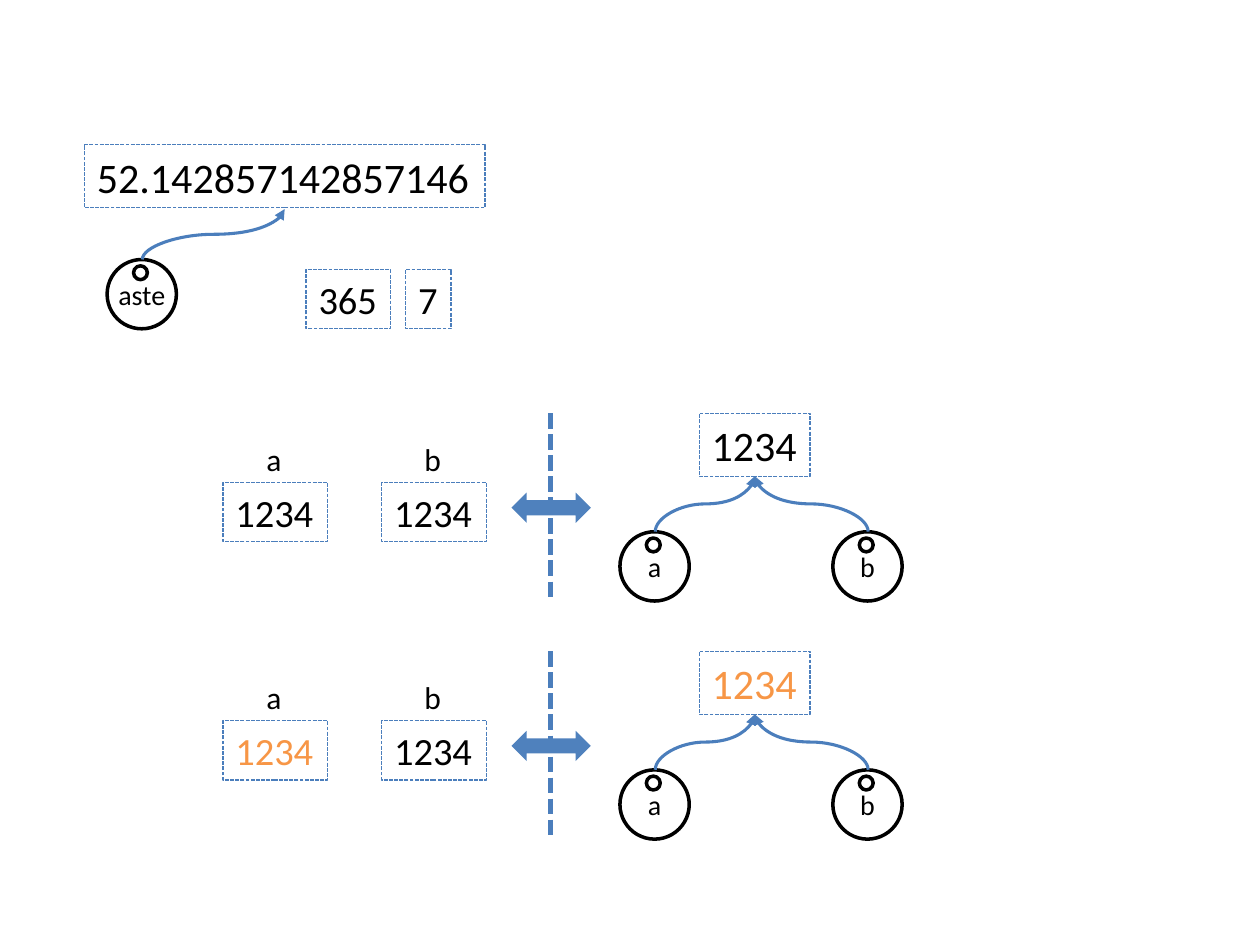
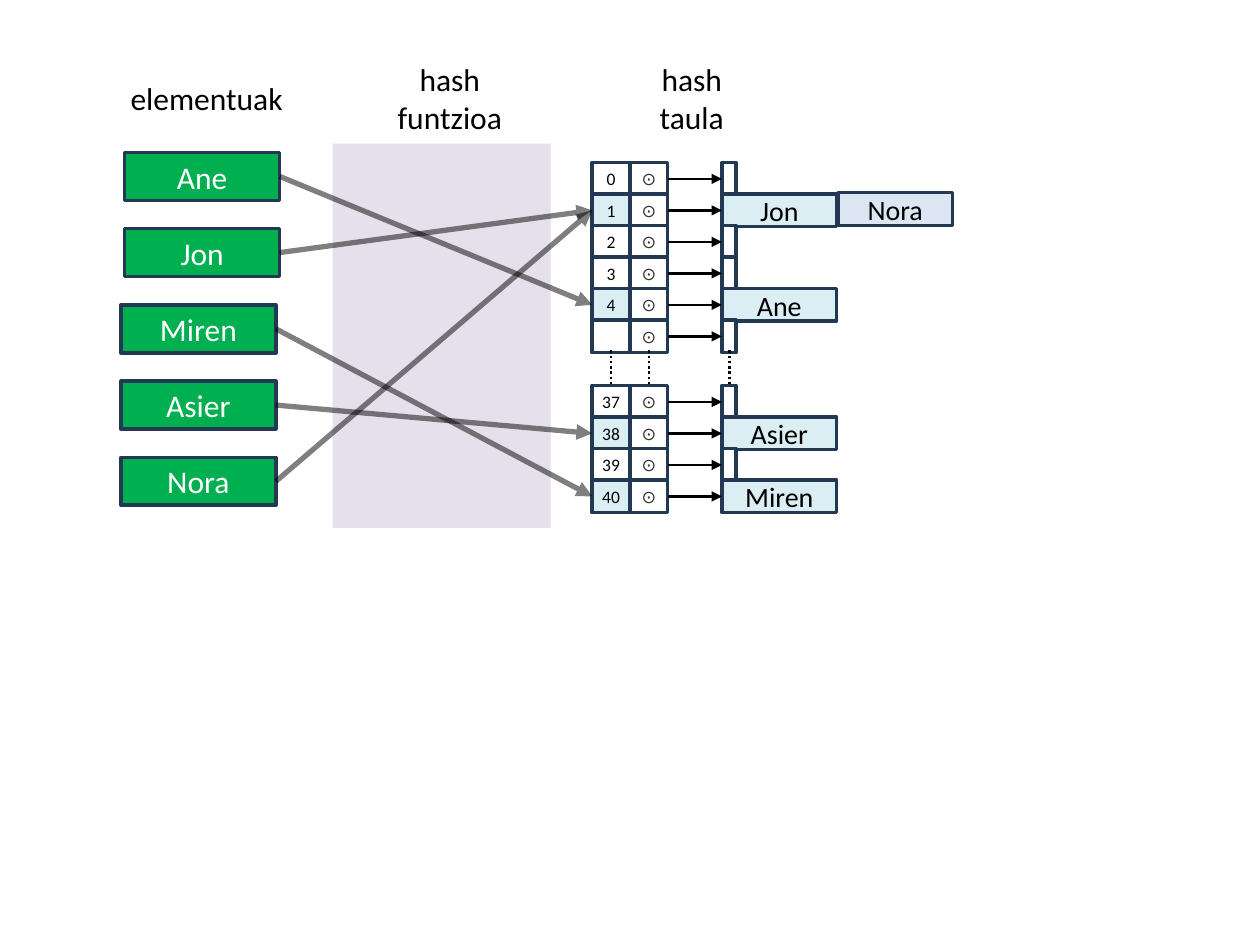
"""Build two diagram slides: names bound to values, and a hash table."""

from dataclasses import dataclass

from lxml.etree import SubElement
from pptx import Presentation
from pptx.dml.color import RGBColor
from pptx.enum.dml import MSO_LINE as Dash
from pptx.enum.shapes import MSO_CONNECTOR as Link, MSO_SHAPE as Preset
from pptx.enum.text import MSO_ANCHOR as Anchor, MSO_AUTO_SIZE as AutoSize, PP_ALIGN as Align
from pptx.oxml.ns import qn
from pptx.util import Inches, Pt


@dataclass(frozen=True)
class Theme:
    font: str = "Calibri"
    symbol_font: str = "Roboto"
    black: str = "000000"
    white: str = "FFFFFF"
    blue: str = "4B7EBC"
    arrow_blue: str = "4F81BD"
    orange: str = "F79646"
    green: str = "00B050"
    navy: str = "233953"
    lilac: str = "E6E0EC"
    used: str = "DBEEF4"
    chained: str = "DCE6F2"
    symbol: str = "373637"
    object_size: int = 24
    value_size: int = 22
    label_size: int = 18
    name_size: int = 16
    index_size: int = 10


theme = Theme()


def add_box(shapes, at, text="", preset=None, fill=None, line=None, weight=2, dash=None,
            size=theme.label_size, color=theme.black, font=theme.font, align=Align.CENTER, inset=None):
    place = [Inches(length) for length in at]
    if preset is None:
        shape = shapes.add_textbox(*place)
        frame_format = {"word_wrap": False, "auto_size": AutoSize.SHAPE_TO_FIT_TEXT}
    else:
        shape = shapes.add_shape(preset, *place)
        shape.shadow.inherit = False
        frame_format = {"word_wrap": True, "vertical_anchor": Anchor.MIDDLE}
    if fill:
        shape.fill.solid()
        shape.fill.fore_color.rgb = RGBColor.from_string(fill)
    if line:
        shape.line.color.rgb = RGBColor.from_string(line)
        shape.line.width = Pt(weight)
        shape.line.dash_style = dash
    else:
        shape.line.fill.background()
    if not text:
        return
    frame = shape.text_frame
    if inset is not None:
        frame_format |= {f"margin_{side}": Inches(inset) for side in ("left", "top", "right", "bottom")}
    for name, value in frame_format.items():
        setattr(frame, name, value)
    frame.text = text
    for paragraph in frame.paragraphs:
        paragraph.alignment = align
        for name, value in {"name": font, "size": Pt(size)}.items():
            setattr(paragraph.font, name, value)
        paragraph.font.color.rgb = RGBColor.from_string(color)


def add_line(shapes, start, end, color=theme.black, weight=1.5, dash=None, arrow=True,
             opacity=None, curved=False):
    (x1, y1), (x2, y2) = start, end
    turn = 90 if x2 > x1 else 270
    if curved:
        center_x, center_y = (x1 + x2) / 2, (y1 + y2) / 2
        sign = 1 if turn == 90 else -1
        across, down = sign * (y1 - y2) / 2, sign * (x2 - x1) / 2
        x1, y1 = center_x + across, center_y + down
        x2, y2 = center_x - across, center_y - down
    connector = shapes.add_connector(Link.CURVE if curved else Link.STRAIGHT,
                                     *(Inches(length) for length in (x1, y1, x2, y2)))
    connector.line.color.rgb = RGBColor.from_string(color)
    connector.line.width = Pt(weight)
    connector.line.dash_style = dash
    properties = connector.element.spPr
    outline = properties.find(qn("a:ln"))
    if curved:
        properties.xfrm.set("rot", str(turn * 60000))
    if opacity:
        SubElement(next(outline.iter(qn("a:srgbClr"))), qn("a:alpha")).set("val", str(opacity * 1000))
    if arrow:
        SubElement(outline, qn("a:tailEnd")).set("type", "triangle")
    SubElement(properties, qn("a:effectLst"))


presentation = Presentation()
presentation.slide_width, presentation.slide_height = Inches(10), Inches(7.5)
blank = presentation.slide_layouts[6]

slide = presentation.slides.add_slide(blank)
dashed = {"line": theme.blue, "weight": 0.75, "dash": Dash.SQUARE_DOT, "align": Align.LEFT}
value_format = dashed | {"size": theme.value_size}
object_format = dashed | {"size": theme.object_size}
ring_format = {"preset": Preset.OVAL, "fill": theme.white, "line": theme.black}

week_group = slide.shapes.add_group_shape().shapes
add_box(week_group, (0.67, 1.15, 3.18, 0.5), "52.142857142857146", **object_format)
add_box(week_group, (2.43, 2.14, 0.67, 0.47), "365", **value_format)
add_box(week_group, (3.22, 2.14, 0.36, 0.47), "7", **value_format)
tags = [(week_group, "aste", 0.85, 2.06, (2.26, 1.66))]

for top, changed in ((3.28, theme.black), (5.17, theme.orange)):
    group = slide.shapes.add_group_shape().shapes
    for name, left, color in (("a", 1.77, changed), ("b", 3.03, theme.black)):
        add_box(group, (left, top + 0.55, 0.83, 0.47), "1234", color=color, **value_format)
        add_box(group, (left + 0.24, top + 0.16, 0.33, 0.4), name)
    add_box(group, (5.55, top, 0.88, 0.5), "1234", color=changed, **object_format)
    add_line(group, (4.37, top), (4.37, top + 1.49), theme.blue, 3, Dash.SQUARE_DOT, arrow=False)
    add_box(group, (4.06, top + 0.63, 0.63, 0.24), preset=Preset.LEFT_RIGHT_ARROW, fill=theme.arrow_blue)
    tags += [(group, name, left, top + 0.94, (5.99, top + 0.5)) for name, left in (("a", 4.92), ("b", 6.61))]

for group, name, left, top, target in tags:
    add_box(group, (left, top, 0.55, 0.55), name, size=theme.name_size, inset=0, **ring_format)
    add_box(group, (left + 0.21, top + 0.05, 0.11, 0.11), **ring_format)
    add_line(group, (left + 0.28, top), target, theme.blue, 1.75, curved=True)

slide = presentation.slides.add_slide(blank)
shapes = slide.shapes
for heading, at in (("elementuak", (0.93, 0.58, 1.42, 0.4)),
                    ("hash\nfuntzioa", (3.05, 0.43, 1.04, 0.71)),
                    ("hash\ntaula", (5.13, 0.43, 0.72, 0.71))):
    add_box(shapes, at, heading)
add_box(shapes, (2.64, 1.14, 1.73, 3.05), preset=Preset.RECTANGLE, fill=theme.lilac)

cell_format = {"preset": Preset.RECTANGLE, "line": theme.navy}
index_format = cell_format | {"size": theme.index_size, "inset": 0}
entry_format = cell_format | {"size": theme.name_size}
row_height, row_step = 0.26, 0.25
slot_left, pointer_left, bucket_left = 4.7, 5, 5.73
stored = {"1": "Jon", "4": "Ane", "38": "Asier", "40": "Miren"}
blocks = ((1.29, ("0", "1", "2", "3", "4", "")), (3.06, ("37", "38", "39", "40")))
row_middles = {}

for block_top, indexes in blocks:
    for row, index in enumerate(indexes):
        top = block_top + row * row_step
        middle = row_middles[index] = top + row_height / 2
        entry = stored.get(index, "")
        fill = theme.used if entry else theme.white
        add_box(shapes, (slot_left, top, 0.3, row_height), index, fill=fill, **index_format)
        add_box(shapes, (pointer_left, top, 0.3, row_height), "⊙", fill=theme.white,
                color=theme.symbol, font=theme.symbol_font, **index_format)
        add_box(shapes, (bucket_left, top, 0.91 if entry else 0.11, row_height), entry,
                fill=fill, **entry_format)
        add_line(shapes, (pointer_left + 0.3, middle), (bucket_left, middle))
add_box(shapes, (6.65, 1.53, 0.91, row_height), "Nora", fill=theme.chained, **entry_format)

for x in (4.85, 5.15, 5.79):
    add_line(shapes, (x, 2.78), (x, 3.06), dash=Dash.ROUND_DOT, arrow=False)

elements = (("Ane", 0.99, "4"), ("Jon", 0.99, "1"), ("Miren", 0.96, "40"),
            ("Asier", 0.96, "38"), ("Nora", 0.96, "1"))
element_step = (3.63 - 1.21) / (len(elements) - 1)
for position, (element, left, index) in enumerate(elements):
    top = 1.21 + position * element_step
    add_box(shapes, (left, top, 1.23, 0.38), element, fill=theme.green, color=theme.white, **cell_format)
    add_line(shapes, (left + 1.23, top + 0.19), (slot_left, row_middles[index]), weight=3, opacity=50)

presentation.save("out.pptx")
